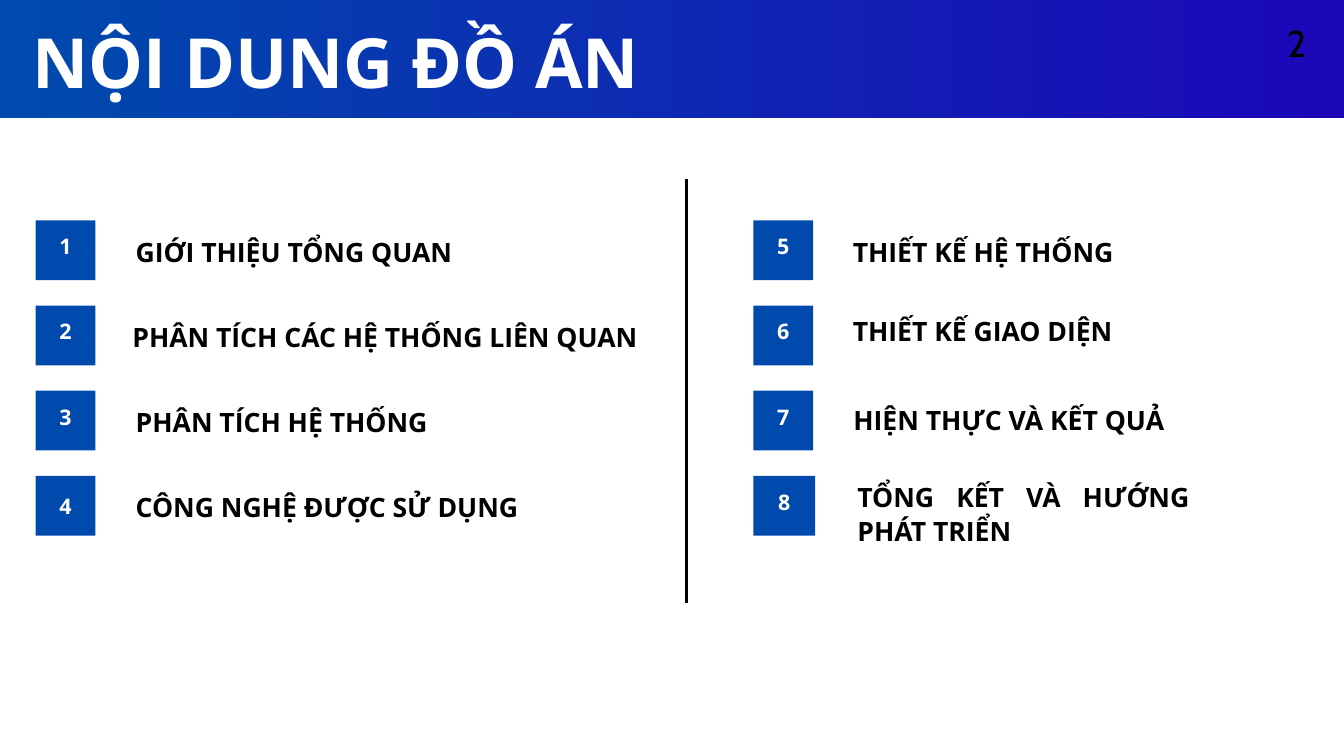
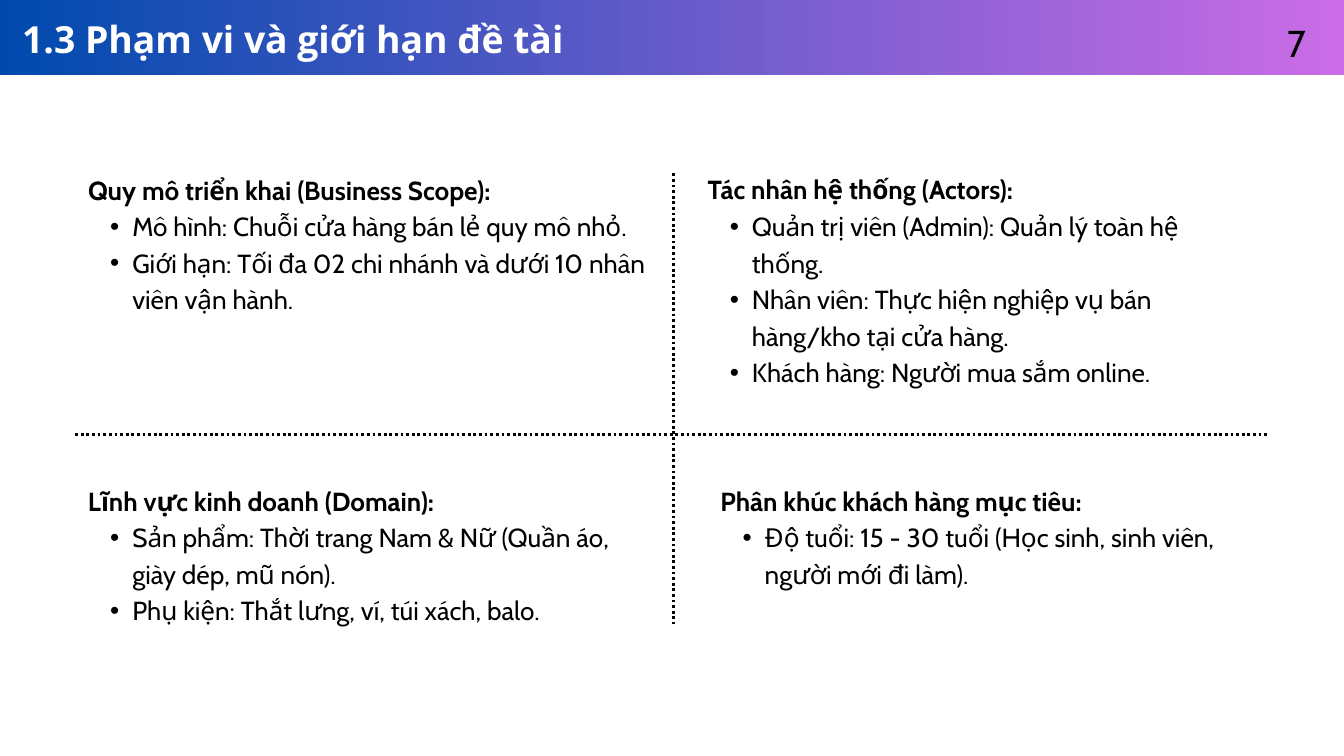
from lxml.etree import SubElement
from pptx import Presentation
from pptx.dml.color import RGBColor
from pptx.enum.dml import MSO_LINE
from pptx.enum.shapes import MSO_CONNECTOR, MSO_SHAPE
from pptx.enum.text import MSO_ANCHOR, MSO_AUTO_SIZE, PP_ALIGN
from pptx.oxml.ns import qn
from pptx.util import Inches, Pt

BLUE, INDIGO, ORCHID = "004AAD", "1B07B8", "CB6CE6"
BLACK, WHITE = "000000", "FFFFFF"
HEADING_FONT, BODY_FONT = "Open Sans", "Cabin"

# label, label offset from tile (x, y), label width, number inset
AGENDA = [
    (0.53, [
        ("GIỚI THIỆU TỔNG QUAN", 1.49, 0.19, 6.09, 0.16),
        ("PHÂN TÍCH CÁC HỆ THỐNG LIÊN QUAN", 1.44, 0.19, 8.03, 0.16),
        ("PHÂN TÍCH HỆ THỐNG", 1.49, 0.19, 4.35, 0.16),
        ("CÔNG NGHỆ ĐƯỢC SỬ DỤNG", 1.49, 0.19, 5.71, 0.23),
    ]),
    (11.21, [
        ("THIẾT KẾ HỆ THỐNG", 1.48, 0.19, 3.89, 0.16),
        ("THIẾT KẾ GIAO DIỆN", 1.48, 0.1, 3.88, 0.16),
        ("HIỆN THỰC VÀ KẾT QUẢ", 1.49, 0.15, 5.7, 0.16),
        ("TỔNG KẾT VÀ HƯỚNG PHÁT TRIỂN", 1.55, 0.03, 4.94, 0.16),
    ]),
]
TILE, AGENDA_TOP, AGENDA_PITCH = 0.89, 3.28, 3.8 / 3

SCOPE = [
    ((1.31, 2.51, 8.39, 2.69), "Quy mô triển khai (Business Scope):", [
        "Mô hình: Chuỗi cửa hàng bán lẻ quy mô nhỏ.",
        "Giới hạn: Tối đa 02 chi nhánh và dưới 10 nhân viên vận hành.",
    ]),
    ((10.53, 2.51, 7.61, 3.23), "Tác nhân hệ thống (Actors):", [
        "Quản trị viên (Admin): Quản lý toàn hệ thống.",
        "Nhân viên: Thực hiện nghiệp vụ bán hàng/kho tại cửa hàng.",
        "Khách hàng: Người mua sắm online.",
    ]),
    ((1.31, 7.14, 8.2, 2.15), "Lĩnh vực kinh doanh (Domain):", [
        "Sản phẩm: Thời trang Nam & Nữ (Quần áo, giày dép, mũ nón).",
        "Phụ kiện: Thắt lưng, ví, túi xách, balo.",
    ]),
    ((10.72, 7.14, 7.61, 1.61), "Phân khúc khách hàng mục tiêu:", [
        "Độ tuổi: 15 - 30 tuổi (Học sinh, sinh viên, người mới đi làm).",
    ]),
]


def color(value):
    return RGBColor.from_string(value)


def place(shape, left, top, width, height):
    shape.left, shape.top = Inches(left), Inches(top)
    shape.width, shape.height = Inches(width), Inches(height)


def prepare_frame(frame, inset_top=0, wrap=True):
    frame.margin_left = frame.margin_right = frame.margin_bottom = 0
    frame.margin_top = Inches(inset_top)
    frame.vertical_anchor = MSO_ANCHOR.TOP
    frame.auto_size = MSO_AUTO_SIZE.NONE
    frame.word_wrap = wrap


def style(para, font, size, tint, spacing, bold=False, align=PP_ALIGN.LEFT):
    para.alignment = align
    para.line_spacing = Pt(spacing)
    for span in para.runs:
        span.font.name = font
        span.font.size = Pt(size)
        span.font.bold = bold
        span.font.color.rgb = color(tint)


def add_bullet(para):
    para.level = 1
    properties = para._p.get_or_add_pPr()
    properties.set("marL", str(Inches(0.66)))
    properties.set("indent", str(Inches(-0.33)))
    SubElement(properties, qn("a:buFont")).set("typeface", "Arial")
    SubElement(properties, qn("a:buChar")).set("char", "•")


def add_text(page, bounds, wrap=True):
    box = page.shapes.add_textbox(*map(Inches, bounds))
    prepare_frame(box.text_frame, wrap=wrap)
    return box.text_frame


def add_block(page, left, top, width, height):
    block = page.shapes.add_shape(
        MSO_SHAPE.RECTANGLE, *map(Inches, (left, top, width, height)))
    block.shadow.inherit = False
    block.line.fill.background()
    return block


def add_rule(page, start, end, dash=None):
    rule = page.shapes.add_connector(
        MSO_CONNECTOR.STRAIGHT, *map(Inches, start + end))
    rule.line.color.rgb = color(BLACK)
    rule.line.width = Pt(3)
    if dash:
        rule.line.dash_style = dash
    SubElement(rule._element.spPr, qn("a:effectLst"))


def add_page(deck, heading, bounds, size, spacing, band_height, band_end, number):
    page = deck.slides.add_slide(deck.slide_layouts[5])
    band = add_block(page, 0, 0, 20, band_height)
    band.fill.gradient()
    band.fill.gradient_angle = 0
    for stop, tint in zip(band.fill.gradient_stops, (BLUE, band_end)):
        stop.color.rgb = color(tint)
    title = page.shapes.title
    title.element.addprevious(band.element)
    place(title, *bounds)
    title.text_frame.text = heading
    prepare_frame(title.text_frame)
    style(title.text_frame.paragraphs[0], HEADING_FONT, size, WHITE, spacing, True)
    frame = add_text(page, (19.21, 0.19, 0.17, 0.25), wrap=False)
    frame.text = number
    style(frame.paragraphs[0], BODY_FONT, 40, BLACK, 56, align=PP_ALIGN.CENTER)
    return page


def add_agenda(page):
    number = 0
    for left, entries in AGENDA:
        for row, (label, shift, drop, width, inset) in enumerate(entries):
            number += 1
            top = AGENDA_TOP + row * AGENDA_PITCH
            tile = add_block(page, left, top, TILE, TILE)
            if number == 8:
                tile.width = Inches(0.92)
            tile.fill.solid()
            tile.fill.fore_color.rgb = color(BLUE)
            prepare_frame(tile.text_frame, inset)
            tile.text_frame.text = str(number)
            style(tile.text_frame.paragraphs[0], HEADING_FONT, 23, WHITE, 29.9,
                  True, PP_ALIGN.CENTER)
            height = 1 if number == 8 else 0.49
            frame = add_text(page, (left + shift, top + drop, width, height))
            frame.text = label
            style(frame.paragraphs[0], HEADING_FONT, 28.5, BLACK, 37.1,
                  True, PP_ALIGN.JUSTIFY)
    add_rule(page, (10.22, 8.97), (10.22, 2.66))


def add_scope(page):
    for bounds, heading, points in SCOPE:
        frame = add_text(page, bounds)
        frame.text = "\n".join([heading] + points)
        for index, para in enumerate(frame.paragraphs):
            if index:
                add_bullet(para)
            style(para, BODY_FONT, 28, BLACK, 39.2, bold=index == 0)
    add_rule(page, (1.12, 6.47), (18.88, 6.47), MSO_LINE.ROUND_DOT)
    add_rule(page, (10.02, 2.58), (10.02, 9.29), MSO_LINE.ROUND_DOT)


def main():
    deck = Presentation()
    deck.slide_width, deck.slide_height = Inches(20), Inches(11.25)
    add_agenda(add_page(deck, "NỘI DUNG ĐỒ ÁN", (0.48, 0.19, 10.05, 1.3),
                        74, 96.2, 1.75, INDIGO, "2"))
    add_scope(add_page(deck, "1.3 Phạm vi và giới hạn đề tài",
                       (0.33, 0.19, 8.46, 0.7), 40, 52, 1.12, ORCHID, "7"))
    deck.save("out.pptx")


if __name__ == "__main__":
    main()
